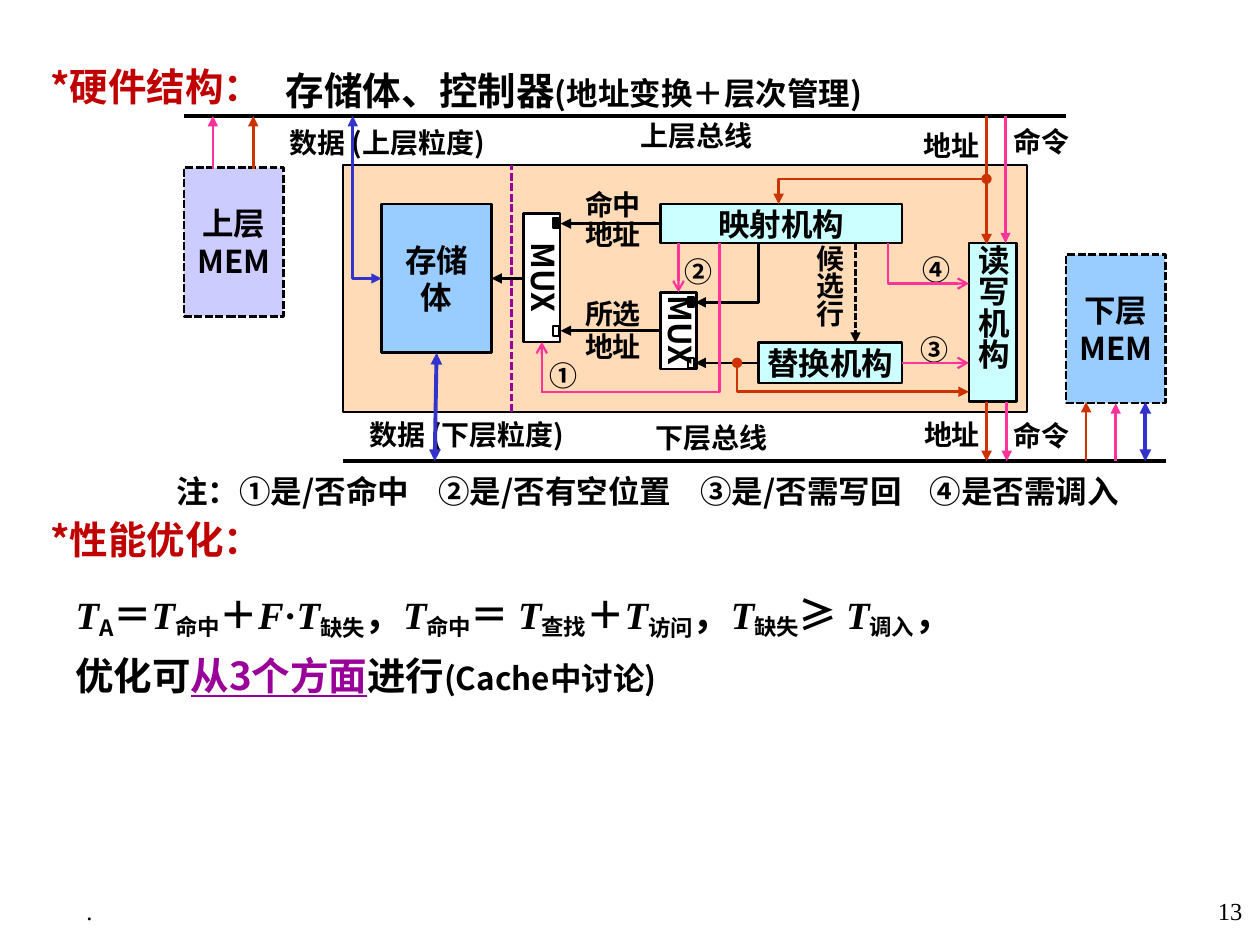
from lxml import etree
from pptx import Presentation
from pptx.dml.color import RGBColor
from pptx.enum.dml import MSO_LINE
from pptx.enum.shapes import MSO_CONNECTOR, MSO_SHAPE
from pptx.enum.text import MSO_ANCHOR, PP_ALIGN
from pptx.oxml.ns import qn
from pptx.util import Inches, Pt

RECT = MSO_SHAPE.RECTANGLE
STRAIGHT, ELBOW = MSO_CONNECTOR.STRAIGHT, MSO_CONNECTOR.ELBOW
DASH = MSO_LINE.SQUARE_DOT
TOP, MID = MSO_ANCHOR.TOP, MSO_ANCHOR.MIDDLE
LEFT, RIGHT, CENTER = PP_ALIGN.LEFT, PP_ALIGN.RIGHT, PP_ALIGN.CENTER

THEME = {
    "sans": "Noto Sans CJK SC", "serif": "Times New Roman",
    "head": Pt(22), "body": Pt(18), "label": Pt(16), "foot": Pt(14),
    "black": "000000", "white": "FFFFFF", "red": "C00000", "plum": "990099",
    "pink": "FF3399", "rust": "CC3300", "navy": "3333CC",
    "peach": "FFCC99", "lilac": "CCCCFF", "sky": "99CCFF", "aqua": "CCFFFF",
}

deck = Presentation()
deck.slide_width, deck.slide_height = Inches(10), Inches(7.5)
slide = deck.slides.add_slide(deck.slide_layouts[6])
shapes = slide.shapes
COL, ROW = deck.slide_width / 100, deck.slide_height / 75


def box(at, lines=(), fill=None, line=None, dash=None, spin=0, size="label", vert=None,
        inset=(0.2, 0.1), anchor=MID, wrap=True, font="sans", bold=True, color="black", **form):
    x, y, w, h = at
    place = [int(v) for v in (x * COL, y * ROW, w * COL, h * ROW)]
    if line:
        shape = shapes.add_shape(RECT, *place)
        shape.shadow.inherit = False
        shape.rotation = spin
        shape.line.color.rgb = RGBColor.from_string(THEME["black"])
        shape.line.width = Pt(line)
        if dash:
            shape.line.dash_style = dash
        if fill:
            shape.fill.solid()
            shape.fill.fore_color.rgb = RGBColor.from_string(THEME[fill])
        else:
            shape.fill.background()
    else:
        shape = shapes.add_textbox(*place)
    frame = shape.text_frame
    side, edge = int(inset[0] * COL), int(inset[1] * ROW)
    for key, val in {"word_wrap": wrap, "vertical_anchor": anchor, "margin_left": side,
                     "margin_right": int(min(inset[0], 1) * COL),
                     "margin_top": edge, "margin_bottom": edge}.items():
        setattr(frame, key, val)
    if vert:
        frame._txBody.bodyPr.set("vert", vert)
    for i, text in enumerate(lines):
        para = frame.add_paragraph() if i else frame.paragraphs[0]
        for key, val in {"alignment": CENTER, **form}.items():
            if key != "space_before" or i:
                setattr(para, key, val)
        for words, style in [(text, {})] if isinstance(text, str) else text:
            look = {"size": size, "font": font, "color": color, "base": 0, **style}
            run = para.add_run()
            run.text = words
            run.font.color.rgb = RGBColor.from_string(THEME[look["color"]])
            for key, val in {"name": THEME[look["font"]], "size": THEME[look["size"]],
                             "bold": bold, "italic": look.get("italic"),
                             "underline": look.get("underline")}.items():
                setattr(run.font, key, val)
            props = run._r.get_or_add_rPr()
            etree.SubElement(props, qn("a:ea"), typeface=THEME["sans"])
            if look["base"]:
                props.set("baseline", str(look["base"] * 1000))
    return shape


def link(ends, color="black", width=1.5, head=None, tail="triangle", dash=None,
         bend=None, start=None, stop=None):
    x1, y1, x2, y2 = [int(v * unit) for v, unit in zip(ends, (COL, ROW, COL, ROW))]
    wire = shapes.add_connector(STRAIGHT if bend is None else ELBOW, x1, y1, x2, y2)
    if start:
        wire.begin_connect(*start)
    if stop:
        wire.end_connect(*stop)
    for key, val in {"begin_x": x1, "begin_y": y1, "end_x": x2, "end_y": y2}.items():
        setattr(wire, key, val)
    wire.line.color.rgb = RGBColor.from_string(THEME[color])
    wire.line.width = Pt(width)
    if dash:
        wire.line.dash_style = dash
    props = wire._element.spPr
    if bend is not None:
        guides = props.find(qn("a:prstGeom")).get_or_add_avLst()
        etree.SubElement(guides, qn("a:gd"), name="adj1", fmla=f"val {bend * 100000}")
    for tag, kind in (("a:headEnd", head), ("a:tailEnd", tail)):
        if kind:
            etree.SubElement(props.find(qn("a:ln")), qn(tag), type=kind)
    etree.SubElement(props, qn("a:effectLst"))


foot = {"size": "foot", "font": "serif", "bold": False, "inset": (1, 0.5), "anchor": TOP}
box((88.6, 70.6, 11, 3.9), ["13"], alignment=RIGHT, **foot)
box((0.4, 70.6, 13.4, 3.9), ["."], **foot)

prose = {"size": "head", "anchor": TOP, "alignment": LEFT, "line_spacing": 1.25}
box((2.3, 3.6, 40.2, 42.4), ["*硬件结构：", "*性能优化："], color="red",
    inset=(1.7, 0.5), space_before=Pt(226), **prose)
small = {"size": "body"}
box((21.7, 3.9, 68.9, 5), [[("存储体、控制器", {}), ("(地址变换＋层次管理)", small)]],
    inset=(1, 0.5), **prose)

sign = {}
term = {"font": "serif", "italic": True}
dot = {"font": "serif"}
low, deep = {"base": -16}, {"base": -18}
sums = [("T", term), ("A", deep), ("＝", sign), ("T", term), ("命中", low), ("＋", sign),
        ("F", term), ("·", dot), ("T", term), ("缺失", deep), ("，", sign),
        ("T", term), ("命中", low), ("＝", sign), (" T", term), ("查找", low), ("＋", sign),
        ("T", term), ("访问", deep), ("，", sign),
        ("T", term), ("缺失", low), ("≥", sign), (" T", term), ("调入", low), ("，", sign)]
tune = [("优化可", {}), ("从3个方面", {"color": "plum", "underline": True}),
        ("进行", {}), ("(Cache中讨论)", small)]
box((1.5, 45.4, 96.6, 9.6), [sums, tune], inset=(4.5, 0.5), **prose)

frame = box((27.2, 13.1, 54.3, 19.6), fill="peach", line=1)
shade = frame._element.spPr.find(qn("a:solidFill"))[0]
etree.SubElement(shade, qn("a:alpha"), val="70000")

card = {"line": 1.5, "size": "body"}
box((14.6, 13.3, 7.9, 11.8), ["上层", "MEM"], fill="lilac", dash=DASH, **card)
lower = box((84.6, 20.2, 7.9, 11.8), ["下层MEM"], fill="sky", dash=DASH, **card)
store = box((30.3, 16.2, 8.7, 11.8), ["存储", "体"], fill="sky", **card)
unit = {"fill": "aqua", "font": "serif", **card}
remap = box((52.4, 16.2, 19.2, 3.1), ["映射机构"], **unit)
swap = box((60.2, 27.2, 11.4, 3.2), ["替换机构"], **unit)
box((76.9, 19.3, 3.8, 12.6), ["读写机构"], vert="eaVert", **unit)
mux_a, mux_b = [
    box(at, ["MUX"], fill="white", spin=90, wrap=False, line_spacing=0.9, **card)
    for at in ((37.9, 20.6, 10.2, 2.9), (50.8, 24.8, 6.1, 2.9))]

for at, lines, form in [
    ((72.6, 9.9, 5.8, 3.2), ["地址"], {}),
    ((72.8, 33.2, 5.5, 2.6), ["地址"], {}),
    ((79.9, 9.9, 5.5, 2.7), ["命令"], {}),
    ((79.9, 33.2, 5.5, 2.7), ["命令"], {}),
    ((50, 9.2, 10.6, 3.4), ["上层总线"], {"line_spacing": 0.9}),
    ((51.2, 33.2, 10.6, 3.4), ["下层总线"], {"line_spacing": 0.9}),
    ((22.8, 9.9, 17.7, 3.1), ["数据 (上层粒度)"], {"alignment": LEFT, "line_spacing": 0.9}),
    ((29.1, 33.2, 17.7, 2.6), ["数据 (下层粒度)"], {"alignment": LEFT}),
    ((46.1, 15.1, 5.1, 5.5), ["命中", "地址"], {"anchor": TOP, "line_spacing": 0.9}),
    ((46.1, 23.4, 5.1, 5.5), ["所选", "地址"], {"anchor": TOP}),
    ((64.2, 19.3, 3.8, 7.7), ["候选行"], {"vert": "eaVert", "line_spacing": 1.2}),
]:
    box(at, lines, **form)
for mark, x, y in (("①", 43.2, 28.2), ("②", 53.9, 19.9), ("③", 72.6, 26.1), ("④", 72.8, 19.8)):
    box((x, y, 3.1, 2.7), [mark], line_spacing=1.2)

note = box((13.8, 37.4, 78, 3.1),
           ["注：①是/否命中\t②是/否有空位置\t③是/否需写回\t④是否需调入"],
           size="body", alignment=LEFT)
tabs = etree.SubElement(note.text_frame.paragraphs[0]._p.get_or_add_pPr(), qn("a:tabLst"))
for stop in (20.8, 41.6, 59.8):
    etree.SubElement(tabs, qn("a:tab"), pos=str(int(stop * COL)), algn="l")

pink = {"color": "pink", "width": 1.25, "tail": "arrow"}
both = {"color": "navy", "head": "triangle"}
for ends, form in [
    ((84.6, 9.2, 14.6, 9.2), {"width": 2.25, "tail": None}),
    ((27.2, 36.6, 92.5, 36.6), {"width": 2.25, "tail": None}),
    ((40.6, 32.7, 40.6, 13.1), {"color": "plum", "dash": DASH, "tail": None}),
    ((60.2, 19.3, 55.2, 24), {"bend": 0}),
    ((52.4, 26.25, 44.5, 26.25), {"start": (mux_b, 2)}),
    ((52.4, 17.75, 44.5, 17.75), {"start": (remap, 1)}),
    ((60.2, 28.8, 55.2, 28.8), {"start": (swap, 1)}),
    ((41.55, 22.1, 39, 22.1), {"start": (mux_a, 2), "stop": (store, 3)}),
    ((67.9, 19.3, 67.9, 27.2), {"width": 1.25, "dash": DASH}),
    ((53.85, 19.3, 53.85, 23.2), {"stop": (mux_b, 1), **pink}),
    ((71.6, 28.8, 76.9, 28.8), {"start": (swap, 3), **pink}),
    ((43, 31.1, 43, 27.15), {"stop": (mux_a, 3), **pink}),
    ((70.5, 19.3, 76.9, 22.5), {"bend": 0, **pink}),
    ((57.1, 19.3, 42.9, 31.1), {"bend": 0, **pink, "tail": None}),
    ((58.5, 28.8, 76.9, 31.1), {"color": "rust", "head": "oval", "bend": 0}),
    ((78.3, 14.2, 61.8, 16.2), {"color": "rust", "head": "oval", "bend": 1}),
    ((28, 9.2, 30.3, 22.1), {"width": 1.75, "bend": 0, **both}),
    ((34.65, 28, 34.5, 36.6), {"width": 2.25, "start": (store, 2), **both}),
    ((90.9, 31.9, 90.9, 36.6), {"width": 2.25, **both}),
    ((88.55, 36.6, 88.55, 32), {"color": "pink", "stop": (lower, 2)}),
    ((86.2, 36.6, 86.2, 31.9), {"color": "rust"}),
    ((16.9, 13.4, 16.9, 9.2), {"color": "pink"}),
    ((20.1, 13.4, 20.1, 9.2), {"color": "rust"}),
    ((79.8, 9.2, 79.8, 19.3), {"color": "pink"}),
    ((78.3, 9.2, 78.3, 19.4), {"color": "rust"}),
    ((79.9, 31.9, 79.9, 36.6), {"color": "pink"}),
    ((78.3, 31.9, 78.3, 36.6), {"color": "rust"}),
]:
    link(ends, **form)

for x, y, fill in ((43.9, 17.3, "black"), (43.9, 25.9, None),
                   (54.6, 23.6, "black"), (54.6, 28.4, None)):
    box((x, y, 0.5, 0.8), fill=fill, line=1.25)

deck.save("out.pptx")
